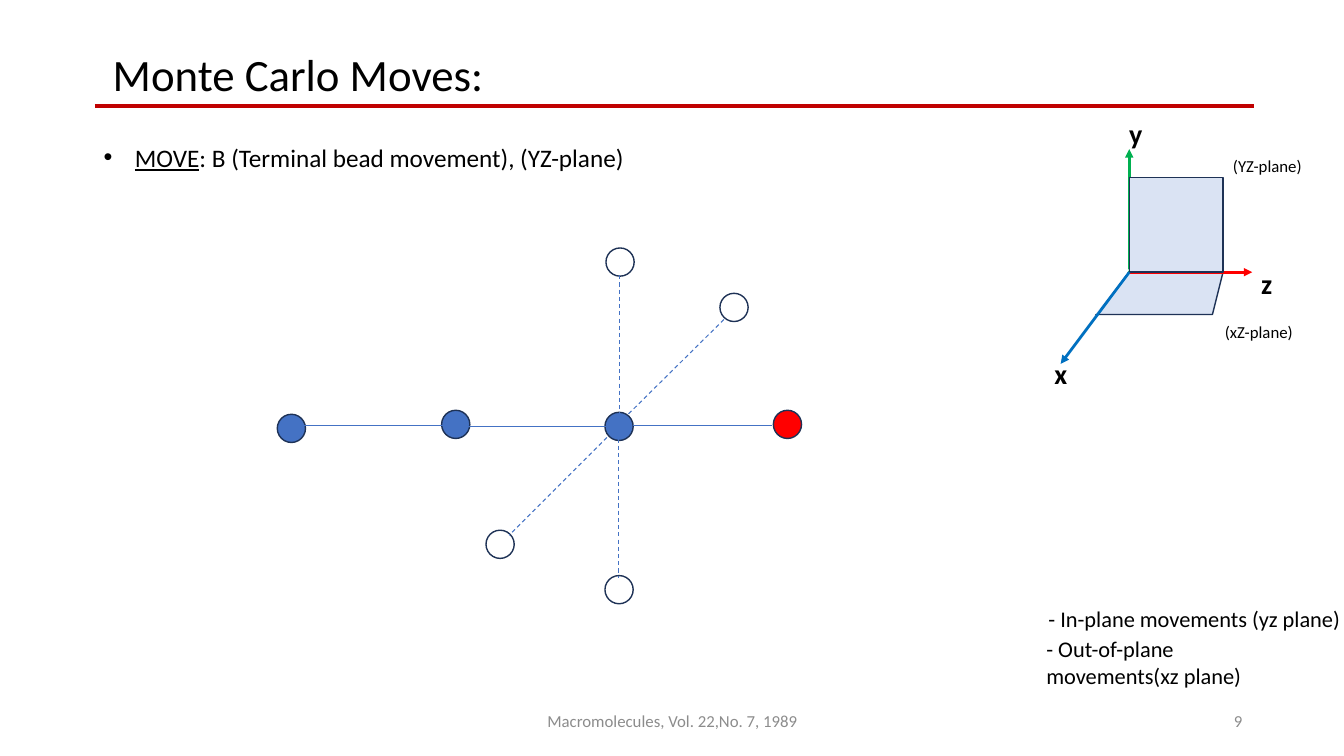
from pptx import Presentation
from pptx.dml.color import RGBColor
from pptx.enum.dml import MSO_LINE
from pptx.enum.shapes import MSO_CONNECTOR, MSO_SHAPE
from pptx.enum.text import MSO_ANCHOR, PP_ALIGN
from pptx.oxml.ns import qn
from pptx.util import Inches, Pt
from lxml.etree import SubElement

BLUE, OUTLINE, PLANE, WHITE, RED = "4472C4", "1E3256", "DAE3F3", "FFFFFF", "FF0000"
BLACK, GREY = "000000", "8C8C8C"
BEAD = 0.28


def rgb(value):
    return RGBColor.from_string(value)


def add_text(slide, box, text, size, color=BLACK, bold=None,
             align=PP_ALIGN.LEFT, anchor=MSO_ANCHOR.TOP):
    frame = slide.shapes.add_textbox(*map(Inches, box)).text_frame
    frame.word_wrap = True
    frame.vertical_anchor = anchor
    paragraph = frame.paragraphs[0]
    paragraph.text = text
    paragraph.alignment = align
    font = paragraph.font
    font.name, font.size, font.bold = "Calibri", Pt(size), bold
    font.color.rgb = rgb(color)
    return paragraph


def add_line(slide, start, end, color, width, dashed=False, arrow=False):
    line = slide.shapes.add_connector(
        MSO_CONNECTOR.STRAIGHT, *map(Inches, (*start, *end)))
    line.line.color.rgb = rgb(color)
    line.line.width = Pt(width)
    if dashed:
        line.line.dash_style = MSO_LINE.DASH
    properties = line._element.spPr
    if arrow:
        SubElement(properties.find(qn("a:ln")), qn("a:tailEnd"), type="triangle")
    SubElement(properties, qn("a:effectLst"))


def add_figure(slide, kind, box, fill, outline=OUTLINE):
    figure = slide.shapes.add_shape(kind, *map(Inches, box))
    figure.shadow.inherit = False
    figure.fill.solid()
    figure.fill.fore_color.rgb = rgb(fill)
    if outline:
        figure.line.color.rgb = rgb(outline)
        figure.line.width = Pt(1)
    else:
        figure.line.fill.background()
    return figure


def add_header(slide, left, top, width):
    rule_y = top + 0.64
    add_line(slide, (left, rule_y), (left + width, rule_y), "C00000", 2.5)
    add_text(slide, (left + 0.08, top, 6.6, 0.64), "Monte Carlo Moves:", 32)


def add_move_bullet(slide, left, top, width):
    move = add_text(slide, (left, top, width, 0.4), "", 18)
    properties = move._p.get_or_add_pPr()
    properties.set("marL", str(Inches(0.31)))
    properties.set("indent", str(-Inches(0.31)))
    bullet_font = properties.makeelement(qn("a:buFont"), {"typeface": "Arial"})
    bullet = properties.makeelement(qn("a:buChar"), {"char": "•"})
    properties.insert(0, bullet_font)
    properties.insert(1, bullet)
    label = move.add_run()
    label.text = "MOVE"
    label.font.underline = True
    move.add_run().text = ": B (Terminal bead movement), (YZ-plane)"


def add_bead_chain(slide, left, top):
    """Chain of beads with the four possible places of the terminal bead."""
    beads = [
        (0, 1.65, BLUE), (1.63, 1.61, BLUE), (3.25, 1.63, BLUE), (4.92, 1.61, RED),
        (3.26, 0, WHITE), (3.25, 3.25, WHITE), (2.07, 2.8, WHITE), (4.39, 0.45, WHITE),
    ]
    bonds = [  # start, end, dashed
        ((0.27, 1.76), (1.65, 1.76), False),
        ((1.89, 1.77), (3.27, 1.77), False),
        ((3.53, 1.76), (4.91, 1.76), False),
        ((3.39, 0.27), (3.39, 1.65), True),
        ((4.43, 0.71), (3.45, 1.68), True),
        ((3.38, 1.89), (3.38, 3.27), True),
        ((3.27, 1.88), (2.3, 2.85), True),
    ]
    for x, y, fill in beads:
        add_figure(slide, MSO_SHAPE.OVAL, (left + x, top + y, BEAD, BEAD), fill)
    for start, end, dashed in bonds:
        start, end = ((left + x, top + y) for x, y in (start, end))
        add_line(slide, start, end, BLUE, 0.75 if dashed else 0.5, dashed)


def add_axes(slide, x0, y0):
    """Coordinate axes and their two planes, placed around the origin."""
    def add_axis(dx, dy, color):
        add_line(slide, (x0, y0), (x0 + dx, y0 + dy), color, 2, arrow=True)

    add_figure(slide, MSO_SHAPE.PARALLELOGRAM, (x0 - 0.48, y0, 1.41, 0.42), PLANE)
    add_axis(1.22, 0, RED)
    add_axis(0, -1.22, "00B050")
    add_figure(slide, MSO_SHAPE.RECTANGLE, (x0, y0 - 0.94, 0.93, 0.94), PLANE)
    add_axis(-0.68, 0.91, "0070C0")
    # White cover that trims the floor plane along the x axis
    cover = add_figure(slide, MSO_SHAPE.ISOSCELES_TRIANGLE,
                       (x0 - 1.02, y0 - 0.41, 0.83, 0.89), WHITE, None)
    cover.rotation = 307.3

    for name, dx, dy in (("z", 1.21, -0.11), ("y", -0.1, -1.59), ("x", -0.84, 0.79)):
        add_text(slide, (x0 + dx, y0 + dy, 0.21, 0.44), name, 20, bold=True)
    for name, dx, dy in (("(YZ-plane)", 0.93, -1.2), ("(xZ-plane)", 0.85, 0.44)):
        add_text(slide, (x0 + dx, y0 + dy, 1.21, 0.31), name, 12)


def add_movement_notes(slide, left, top):
    add_text(slide, (left + 0.02, top, 3.31, 0.37), "- In-plane movements (yz plane)", 16)
    add_text(slide, (left, top + 0.3, 2.64, 0.64), "- Out-of-plane movements(xz plane)", 16)


def add_footer(slide, left, top, height):
    add_text(slide, (left, top, 4.5, height), "Macromolecules, Vol. 22,No. 7, 1989", 12,
             GREY, align=PP_ALIGN.CENTER, anchor=MSO_ANCHOR.MIDDLE)
    add_text(slide, (left + 5, top, 3, height), "9", 12,
             GREY, align=PP_ALIGN.RIGHT, anchor=MSO_ANCHOR.MIDDLE)


def main():
    deck = Presentation()
    deck.slide_width, deck.slide_height = Inches(13.33), Inches(7.5)
    slide = deck.slides.add_slide(deck.slide_layouts[6])
    add_header(slide, 0.94, 0.41, 11.5)
    add_move_bullet(slide, 0.93, 1.36, 7.29)
    add_movement_notes(slide, 10.28, 5.95)
    add_bead_chain(slide, 2.75, 2.46)
    add_axes(slide, 11.2, 2.7)
    add_footer(slide, 4.42, 6.95, 0.4)
    deck.save("out.pptx")


if __name__ == "__main__":
    main()
